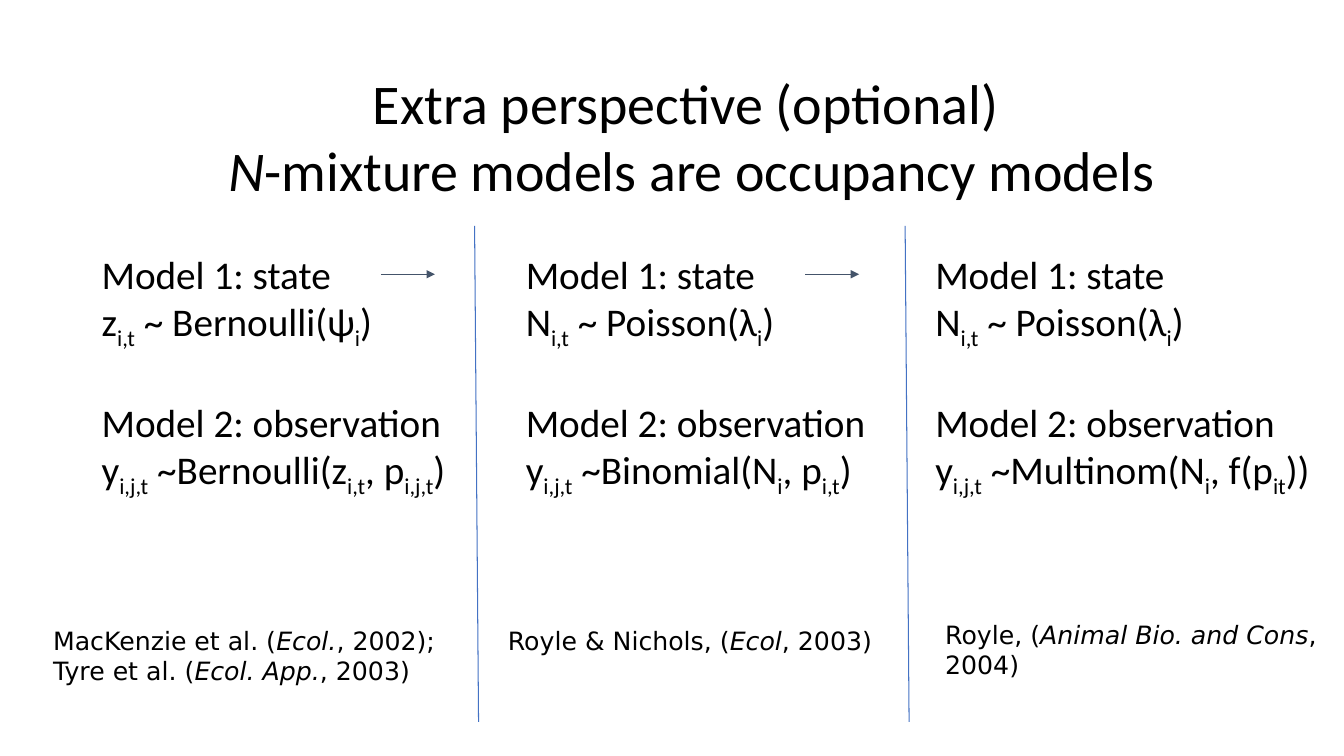
from dataclasses import dataclass

from lxml import etree
from pptx import Presentation
from pptx.dml.color import RGBColor
from pptx.enum.shapes import MSO_CONNECTOR
from pptx.enum.text import MSO_ANCHOR, MSO_AUTO_SIZE, PP_ALIGN
from pptx.oxml.ns import qn
from pptx.util import Cm, Pt

STRAIGHT = MSO_CONNECTOR.STRAIGHT
TOP = MSO_ANCHOR.TOP
FIXED = MSO_AUTO_SIZE.NONE
LEFT, CENTER = PP_ALIGN.LEFT, PP_ALIGN.CENTER


@dataclass(frozen=True)
class Theme:
    ink: RGBColor = RGBColor(0, 0, 0)
    rule: RGBColor = RGBColor(0x44, 0x72, 0xC4)
    arrow: RGBColor = RGBColor(0x44, 0x54, 0x6A)
    main: str = "Calibri"
    small: str = "DejaVu Sans"
    title: int = 40
    body: int = 28
    cite: int = 18
    gap: float = 34.2
    line: float = 0.75


THEME = Theme()
TITLE = ["Extra perspective (optional) ", "|N|-mixture models are occupancy models"]
MODELS = [
    ((2.31, 6.17, 9.75, 8.64), "z|i,t| ~ Bernoulli(ψ|i|)",
     "y|i,j,t| ~Bernoulli(z|i,t|, p|i,j,t|)"),
    ((13, 6.17, 9.14, 8.64), "N|i,t| ~ Poisson(λ|i|)",
     "y|i,j,t| ~Binomial(N|i|, p|i,t|)"),
    ((23.32, 6.17, 10.21, 8.64), "N|i,t| ~ Poisson(λ|i|)",
     "y|i,j,t| ~Multinom(N|i|, f(p|it|))"),
]
CITES = [
    ((1.09, 15.62, 10.54, 1.8),
     "MacKenzie et al. (|Ecol.|, 2002); Tyre et al. (|Ecol. App.|, 2003)"),
    ((12.55, 15.62, 10.21, 1.02), "Royle & Nichols, (|Ecol|, 2003)"),
    ((23.57, 15.47, 10.21, 1.8), "Royle, (|Animal Bio. and Cons|, 2004)"),
]
RULES = [11.96, 22.81]


def place(shape, box):
    shape.left, shape.top, shape.width, shape.height = map(Cm, box)
    frame = shape.text_frame
    frame.word_wrap = True
    frame.auto_size = FIXED
    frame.vertical_anchor = TOP
    frame.margin_left = frame.margin_right = Cm(0.25)
    frame.margin_top = frame.margin_bottom = Cm(0.13)
    return frame


def add_para(frame, first, text, size, face, sub=False, align=LEFT, before=0):
    para = frame.paragraphs[0] if first else frame.add_paragraph()
    props = para._p.get_or_add_pPr()
    props.set("marL", "0")
    props.set("indent", "0")
    etree.SubElement(props, qn("a:buNone"))
    para.alignment = align
    para.line_spacing = 1.0
    para.space_before, para.space_after = Pt(before), Pt(0)
    for i, part in enumerate(text.split("|")):
        if not part:
            continue
        run = para.add_run()
        run.text = part
        font = run.font
        font.size, font.name, font.bold = Pt(size), face, False
        font.color.rgb = THEME.ink
        if i % 2 and sub:
            run._r.get_or_add_rPr().set("baseline", "-25000")
        elif i % 2:
            font.italic = True


def add_line(slide, start, end, color, arrow=False):
    line = slide.shapes.add_connector(STRAIGHT, *map(Cm, start + end))
    line.line.color.rgb = color
    line.line.width = Pt(THEME.line)
    if arrow:
        tip = etree.SubElement(line.line._get_or_add_ln(), qn("a:tailEnd"))
        tip.set("type", "triangle")
    etree.SubElement(line._element.spPr, qn("a:effectLst"))


def add_title(shape, box):
    frame = place(shape, box)
    for i, text in enumerate(TITLE):
        add_para(frame, i == 0, text, THEME.title, THEME.main, align=CENTER)


def add_model(shape, box, state, seen):
    frame = place(shape, box)
    rows = ["Model 1: state", state, "Model 2: observation", seen]
    for i, text in enumerate(rows):
        add_para(frame, i == 0, text, THEME.body, THEME.main, sub=True,
                 before=THEME.gap if i == 2 else 0)


def add_arrow(slide, box):
    left, top = box[0] + 7.29, box[1] + 0.74
    add_line(slide, (left, top), (left + 1.36, top), THEME.arrow, arrow=True)


def add_cite(slide, box, text):
    frame = place(slide.shapes.add_textbox(*map(Cm, box)), box)
    add_para(frame, True, text, THEME.cite, THEME.small)


def main():
    deck = Presentation()
    deck.slide_width, deck.slide_height = Cm(33.87), Cm(19.05)
    slide = deck.slides.add_slide(deck.slide_layouts.get_by_name("Comparison"))
    title, *bodies = slide.placeholders
    add_title(title, (4.29, 1.6, 26.29, 3.18))
    for shape, (box, state, seen) in zip(bodies, MODELS):
        add_model(shape, box, state, seen)
    for shape in bodies[len(MODELS):]:
        shape._element.getparent().remove(shape._element)
    for left in RULES:
        add_line(slide, (left, 5.69), (left + 0.1, 18.19), THEME.rule)
    for box, text in CITES:
        add_cite(slide, box, text)
    for box, *_ in MODELS[:-1]:
        add_arrow(slide, box)
    deck.save("out.pptx")


if __name__ == "__main__":
    main()
